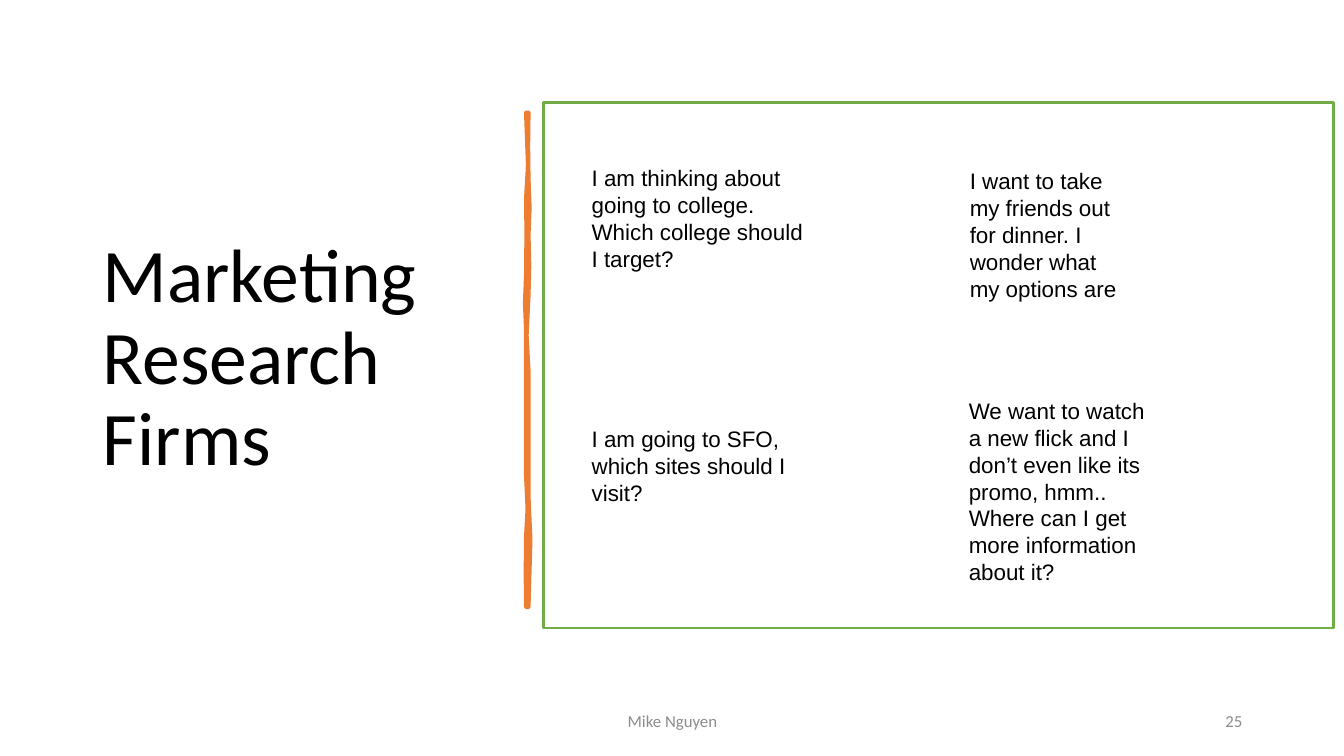
from pptx import Presentation
from pptx.dml.color import RGBColor
from pptx.enum.shapes import MSO_SHAPE
from pptx.enum.text import MSO_ANCHOR, MSO_AUTO_SIZE, PP_ALIGN
from pptx.util import Inches, Pt

LEFT, CENTER, RIGHT = PP_ALIGN.LEFT, PP_ALIGN.CENTER, PP_ALIGN.RIGHT
TOP, MIDDLE = MSO_ANCHOR.TOP, MSO_ANCHOR.MIDDLE
BLACK = RGBColor(0x00, 0x00, 0x00)
WHITE = RGBColor(0xFF, 0xFF, 0xFF)
GRAY = RGBColor(0x8C, 0x8C, 0x8C)
ORANGE = RGBColor(0xED, 0x7D, 0x31)
GREEN = RGBColor(0x70, 0xAD, 0x47)


def write(tf, text, font, size, color, align=LEFT, anchor=TOP):
    tf.word_wrap = True
    tf.auto_size = MSO_AUTO_SIZE.NONE
    tf.vertical_anchor = anchor
    p = tf.paragraphs[0]
    p.text = text
    p.alignment = align
    p.font.name, p.font.size, p.font.color.rgb = font, Pt(size), color
    return p


prs = Presentation()
prs.slide_width, prs.slide_height = Inches(13.33), Inches(7.5)
s = prs.slides.add_slide(prs.slide_layouts[5])

# Title
title = s.shapes.title
title.left, title.top = Inches(0.92), Inches(0.6)
title.width, title.height = Inches(3.94), Inches(5.94)
p = write(title.text_frame, "Marketing Research\vFirms", "Calibri", 54, BLACK,
          anchor=MIDDLE)
p.line_spacing = 0.9

# Hand-drawn divider: down the right edge, back up the left edge
divider_start = (5.24, 1.12)
divider_curves = [
    (5.23, 1.42, 5.24, 1.49, 5.24, 1.77),
    (5.25, 2.06, 5.26, 2.07, 5.24, 2.33),
    (5.23, 2.59, 5.27, 2.69, 5.24, 2.93),
    (5.21, 3.17, 5.22, 3.5, 5.24, 3.68),
    (5.27, 3.86, 5.21, 4.1, 5.24, 4.33),
    (5.27, 4.56, 5.21, 4.76, 5.24, 4.93),
    (5.27, 5.11, 5.26, 5.51, 5.24, 6.02),
    (5.23, 6.02, 5.23, 6.02, 5.22, 6.02),
    (5.23, 5.84, 5.2, 5.53, 5.22, 5.32),
    (5.24, 5.12, 5.24, 5, 5.22, 4.72),
    (5.21, 4.44, 5.23, 4.22, 5.22, 3.92),
    (5.21, 3.63, 5.23, 3.47, 5.22, 3.27),
    (5.21, 3.07, 5.2, 2.97, 5.22, 2.72),
    (5.25, 2.47, 5.2, 2.12, 5.22, 1.97),
    (5.24, 1.82, 5.25, 1.52, 5.22, 1.12),
]
outline = [divider_start]
for x1, y1, x2, y2, x, y in divider_curves:
    x0, y0 = outline[-1]
    middle = ((x0 + 3 * x1 + 3 * x2 + x) / 8, (y0 + 3 * y1 + 3 * y2 + y) / 8)
    outline += [middle, (x, y)]
points = [(Inches(x), Inches(y)) for x, y in outline]
builder = s.shapes.build_freeform(*points[0])
builder.add_line_segments(points[1:], close=True)
divider = builder.convert_to_shape()
divider.shadow.inherit = False
divider.fill.solid()
divider.fill.fore_color.rgb = ORANGE
divider.line.color.rgb = ORANGE
divider.line.width = Pt(3.25)

# Footer and slide number
for text, left, width, align in [("Mike Nguyen", 4.42, 4.5, CENTER),
                                 ("25", 9.42, 3, RIGHT)]:
    box = s.shapes.add_textbox(Inches(left), Inches(6.95), Inches(width), Inches(0.4))
    p = write(box.text_frame, text, "Calibri", 12, GRAY, align, MIDDLE)
    p.space_after = Pt(6)

# Framed panel
panel = s.shapes.add_shape(MSO_SHAPE.RECTANGLE, Inches(5.39), Inches(1.02),
                           Inches(7.84), Inches(5.21))
panel.shadow.inherit = False
panel.fill.solid()
panel.fill.fore_color.rgb = WHITE
panel.line.color.rgb = GREEN
panel.line.width = Pt(2)

# Consumer questions
questions = [
    ("I am thinking about going to college. Which college should I target?",
     5.77, 1.58, 2.36, 1.18),
    ("I am going to SFO, which sites should I visit?", 5.77, 4.17, 2.36, 0.92),
    ("I want to take my friends out for dinner. I wonder what my options are",
     9.52, 1.61, 1.81, 1.45),
    ("We want to watch a new flick and I don’t even like its promo, hmm.. "
     "Where can I get more information about it?", 9.51, 3.89, 1.95, 1.99),
]
for text, *place in questions:
    box = s.shapes.add_textbox(*map(Inches, place))
    write(box.text_frame, text, "Arial", 16, BLACK)

prs.save("out.pptx")
